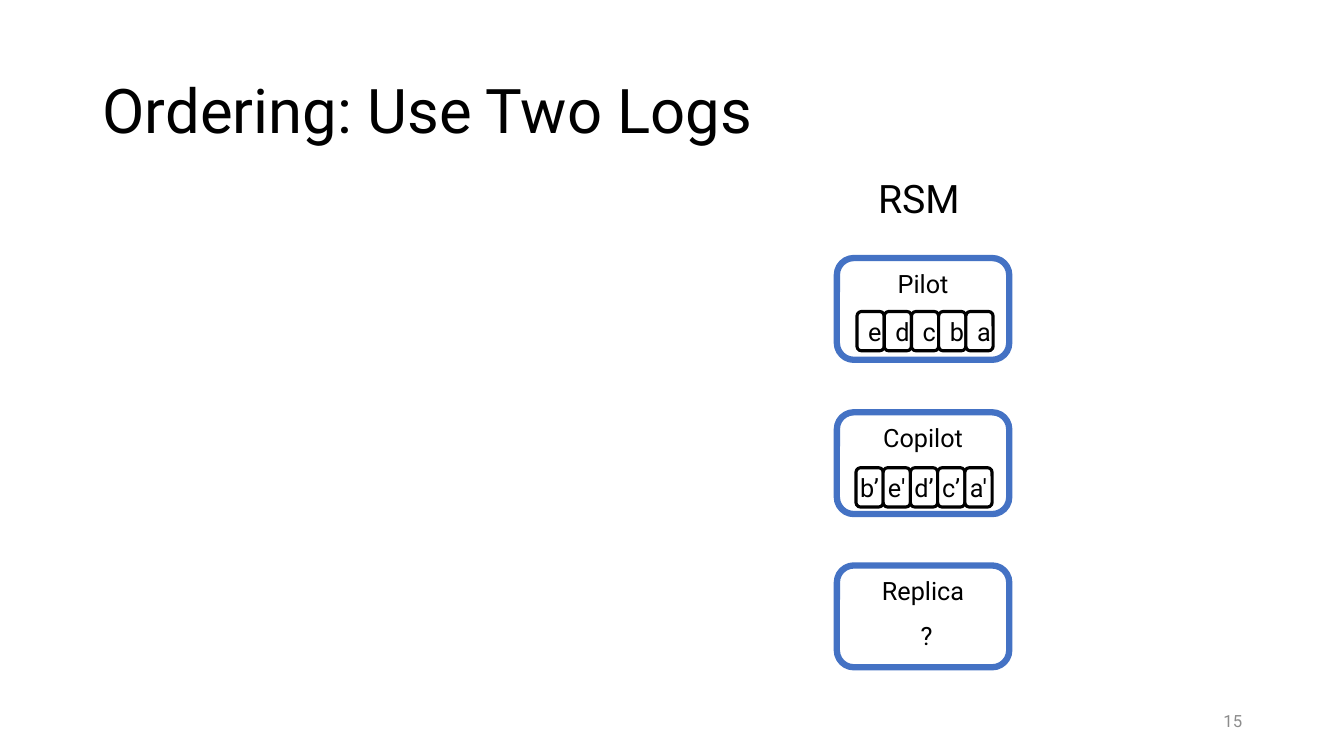
from dataclasses import dataclass

from pptx import Presentation
from pptx.dml.color import RGBColor
from pptx.enum.shapes import MSO_SHAPE as Shape
from pptx.enum.text import MSO_ANCHOR as Anchor, PP_ALIGN as Align
from pptx.shapes.autoshape import Shape as AutoShape
from pptx.slide import Slide
from pptx.util import Inches, Pt

FONT = "Roboto"
COLORS = {"ink": "000000", "paper": "FFFFFF", "server": "4472C4", "muted": "8C8C8C"}

SERVER_LEFT, SERVER_WIDTH, SERVER_HEIGHT = 8.3, 1.71, 1.01
ENTRY_WIDTH, ENTRY_HEIGHT = 0.27, 0.39


@dataclass(frozen=True)
class Server:
    role: str
    top: float
    entries: tuple[str, ...]
    entries_left: float
    entries_top: float
    entry_inset: float = 0.1
    entry_line: float = 2.25


SERVERS = (
    Server("Pilot", 2.56, ("e", "d", "c", "b", "a"), 8.5, 3.09),
    Server("Copilot", 4.09, ("b’", "e'", "d’", "c’", "a'"), 8.49, 4.64, entry_inset=0),
    Server("Replica", 5.61, ("?",), 9.02, 6.11, entry_line=0),
)


def color(name: str) -> RGBColor:
    return RGBColor.from_string(COLORS[name])


def write(shape: AutoShape, text: str, *, size: float = 18, ink: str = "ink",
          align: Align = Align.LEFT, anchor: Anchor = Anchor.TOP,
          wrap: bool = True, inset: float = 0.1, spacing: float = 1.0) -> None:
    frame = shape.text_frame
    frame.word_wrap = wrap
    frame.vertical_anchor = anchor
    frame.margin_left = frame.margin_right = Inches(inset)
    paragraph = frame.paragraphs[0]
    paragraph.alignment = align
    paragraph.line_spacing = spacing
    run = paragraph.add_run()
    run.text = text
    run.font.name = FONT
    run.font.size = Pt(size)
    run.font.color.rgb = color(ink)


def add_label(slide: Slide, text: str, left: float, top: float,
              width: float, height: float, **text_format) -> None:
    label = slide.shapes.add_textbox(Inches(left), Inches(top), Inches(width), Inches(height))
    write(label, text, **text_format)


def add_box(slide: Slide, text: str, left: float, top: float, width: float, height: float,
            line: str, line_width: float, **text_format) -> None:
    box = slide.shapes.add_shape(Shape.ROUNDED_RECTANGLE, Inches(left), Inches(top),
                                 Inches(width), Inches(height))
    box.shadow.inherit = False
    box.fill.solid()
    box.fill.fore_color.rgb = color("paper")
    if line_width:
        box.line.color.rgb = color(line)
        box.line.width = Pt(line_width)
    else:
        box.line.fill.background()
    write(box, text, align=Align.CENTER, **text_format)


def add_server(slide: Slide, server: Server) -> None:
    add_box(slide, server.role, SERVER_LEFT, server.top, SERVER_WIDTH, SERVER_HEIGHT,
            "server", 4.5)
    # Log entries, side by side
    for position, entry in enumerate(server.entries):
        add_box(slide, entry, server.entries_left + position * ENTRY_WIDTH, server.entries_top,
                ENTRY_WIDTH, ENTRY_HEIGHT, "ink", server.entry_line,
                anchor=Anchor.MIDDLE, inset=server.entry_inset)


def main() -> None:
    deck = Presentation()
    deck.slide_width, deck.slide_height = Inches(13.33), Inches(7.5)
    slide = deck.slides.add_slide(deck.slide_layouts[6])

    # Title and page number
    add_label(slide, "Ordering: Use Two Logs", 0.92, 0.4, 11.5, 1.45,
              size=44, anchor=Anchor.MIDDLE, spacing=0.9)
    add_label(slide, "15", 9.42, 6.95, 3, 0.4,
              size=12, ink="muted", align=Align.RIGHT, anchor=Anchor.MIDDLE)

    # Replicated state machine
    add_label(slide, "RSM", 8.61, 1.68, 1.08, 0.57, size=28, wrap=False)
    for server in SERVERS:
        add_server(slide, server)

    deck.save("out.pptx")


if __name__ == "__main__":
    main()
